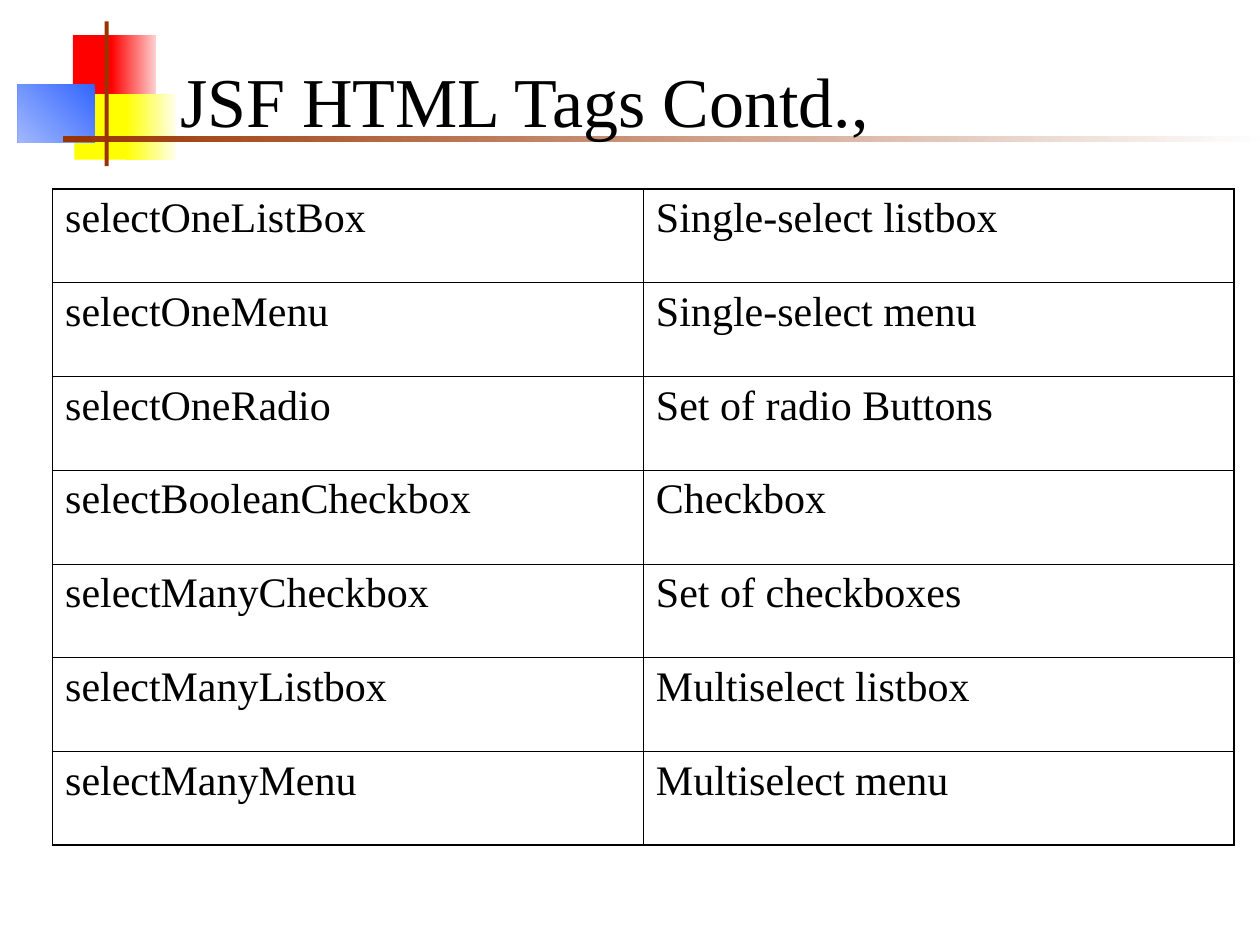
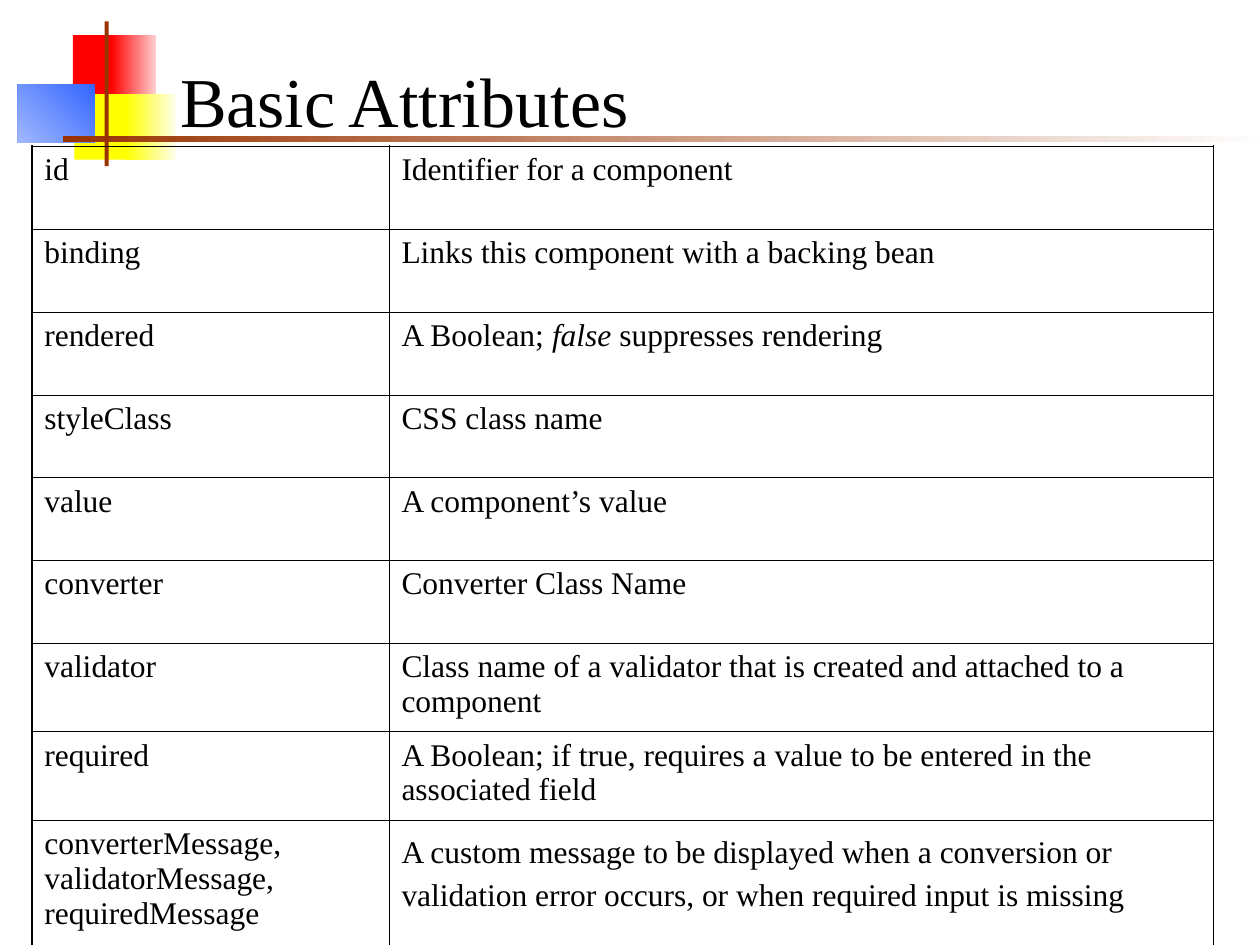
import dataclasses

import lxml.etree
import pptx
import pptx.dml.color
import pptx.enum.shapes
import pptx.enum.text
import pptx.oxml.ns
import pptx.util

Cm = pptx.util.Cm
Pt = pptx.util.Pt


@dataclasses.dataclass(frozen=True)
class Theme:
    """Colours, font, type sizes and line widths of the deck."""

    font: str = "Times New Roman"
    text: str = "000000"
    red: str = "FF0000"
    pale_red: str = "FED0D0"
    yellow: str = "FFFF00"
    pale_yellow: str = "FEFEEF"
    blue: str = "3366FF"
    pale_blue: str = "A1B8FE"
    brown: str = "993300"
    pale_brown: str = "FEFEFE"
    title_size: float = 40
    large_size: float = 24
    small_size: float = 18
    outer_line: float = 1.08
    inner_line: float = 0.45


theme = Theme()


def style_paragraph(para, size):
    """Give a paragraph the deck's font and colour at the given size."""
    para.font.name = theme.font
    para.font.size = Pt(size)
    para.font.color.rgb = pptx.dml.color.RGBColor.from_string(theme.text)


def set_border(cell, side, width):
    """Draw one side (L, R, T or B) of a table cell."""
    properties = cell._tc.get_or_add_tcPr()
    line = lxml.etree.SubElement(
        properties, pptx.oxml.ns.qn("a:ln" + side), w=str(Pt(width)))
    fill = lxml.etree.SubElement(line, pptx.oxml.ns.qn("a:solidFill"))
    lxml.etree.SubElement(fill, pptx.oxml.ns.qn("a:srgbClr"), val=theme.text)


# Ornament: left, top, width, height in cm; fill colours; gradient angle
ornament = [
    (1.47, 0.71, 0.89, 1.32, [theme.red], None),
    (2.24, 0.71, 0.91, 1.32, [theme.pale_red, theme.red], 180),
    (1.5, 1.9, 1.17, 1.32, [theme.yellow], None),
    (2.54, 1.9, 1.02, 1.32, [theme.pale_yellow, theme.yellow], 180),
    (0.36, 1.7, 1.55, 1.17, [theme.blue, theme.pale_blue], 225),
    (1.27, 2.74, 24.13, 0.13, [theme.pale_brown, theme.brown], 180),
    (2.11, 0.43, 0.08, 2.92, [theme.brown], None),
]

# Asterisks in a cell enclose italics
slides = [
    {
        "title": "JSF HTML Tags Contd.,",
        "corner": (1.06, 3.81),
        "columns": [11.91, 11.91],
        "heights": [1.89] * 7,
        "size": theme.large_size,
        "space_before": 6,
        "rows": [
            ("selectOneListBox", "Single-select listbox"),
            ("selectOneMenu", "Single-select menu"),
            ("selectOneRadio", "Set of radio Buttons"),
            ("selectBooleanCheckbox", "Checkbox"),
            ("selectManyCheckbox", "Set of checkboxes"),
            ("selectManyListbox", "Multiselect listbox"),
            ("selectManyMenu", "Multiselect menu"),
        ],
    },
    {
        "title": "Basic Attributes",
        "corner": (0.64, 2.95),
        "columns": [7.2, 16.62],
        "heights": [1.67] * 6 + [1.78] * 2 + [2.53],
        "size": theme.small_size,
        "space_before": 4.5,
        "rows": [
            ("id", "Identifier for a component"),
            ("binding", "Links this component with a backing bean"),
            ("rendered", "A Boolean; *false *suppresses rendering"),
            ("styleClass", "CSS class name"),
            ("value", "A component’s value"),
            ("converter", "Converter Class Name"),
            ("validator", "Class name of a validator that is created and "
                          "attached to a component"),
            ("required", "A Boolean; if true, requires a value to be entered "
                         "in the associated field"),
            ("converterMessage, validatorMessage, requiredMessage",
             "A custom message to be displayed when a conversion or "
             "validation error occurs, or when required input is missing"),
        ],
    },
]

deck = pptx.Presentation()
deck.slide_width = Cm(25.4)
deck.slide_height = Cm(19.05)

for content in slides:
    page = deck.slides.add_slide(deck.slide_layouts[6])

    for left, top, width, height, colours, angle in ornament:
        block = page.shapes.add_shape(
            pptx.enum.shapes.MSO_SHAPE.RECTANGLE,
            Cm(left), Cm(top), Cm(width), Cm(height))
        block.shadow.inherit = False
        block.line.fill.background()
        if angle is None:
            block.fill.solid()
            targets = [block.fill.fore_color]
        else:
            block.fill.gradient()
            block.fill.gradient_angle = angle
            targets = [stop.color for stop in block.fill.gradient_stops]
        for target, colour in zip(targets, colours):
            target.rgb = pptx.dml.color.RGBColor.from_string(colour)

    box = page.shapes.add_textbox(Cm(3.38), Cm(0.64), Cm(21.64), Cm(2.34))
    box.text_frame.word_wrap = True
    box.text_frame.vertical_anchor = pptx.enum.text.MSO_ANCHOR.BOTTOM
    box.text_frame.text = content["title"]
    style_paragraph(box.text_frame.paragraphs[0], theme.title_size)

    rows, columns = content["rows"], content["columns"]
    left, top = content["corner"]
    table = page.shapes.add_table(
        len(rows), len(columns), Cm(left), Cm(top),
        Cm(sum(columns)), Cm(sum(content["heights"]))).table
    table.first_row = False
    table.horz_banding = False
    for column, width in zip(table.columns, columns):
        column.width = Cm(width)

    for row_index, texts in enumerate(rows):
        table.rows[row_index].height = Cm(content["heights"][row_index])
        for column_index, text in enumerate(texts):
            cell = table.cell(row_index, column_index)
            outer_sides = {
                "L": column_index == 0,
                "R": column_index == len(columns) - 1,
                "T": row_index == 0,
                "B": row_index == len(rows) - 1,
            }
            for side, outer in outer_sides.items():
                set_border(cell, side,
                           theme.outer_line if outer else theme.inner_line)
            cell.fill.background()
            para = cell.text_frame.paragraphs[0]
            para.space_before = Pt(content["space_before"])
            style_paragraph(para, content["size"])
            for part_index, part in enumerate(text.split("*")):
                span = para.add_run()
                span.text = part
                if part_index % 2:
                    span.font.italic = True

# The closing message of the last table is set more openly
para.line_spacing = 1.25

deck.save("out.pptx")
